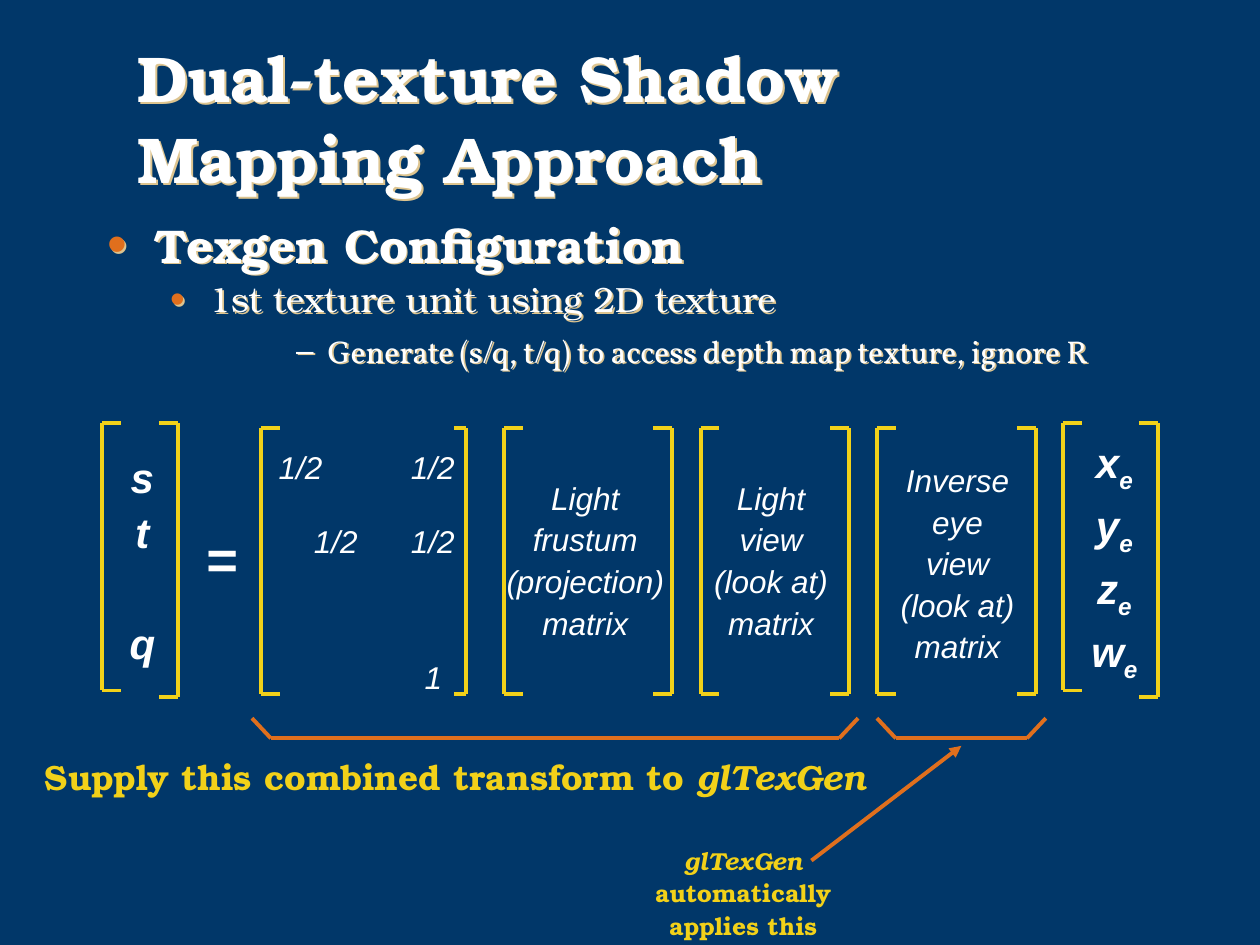
from copy import deepcopy
from lxml import etree
from pptx import Presentation
from pptx.dml.color import RGBColor
from pptx.enum.shapes import MSO_CONNECTOR
from pptx.enum.text import MSO_ANCHOR, MSO_AUTO_SIZE, PP_ALIGN
from pptx.oxml.ns import qn
from pptx.util import Inches, Pt

STRAIGHT = MSO_CONNECTOR.STRAIGHT
TOP, MIDDLE = MSO_ANCHOR.TOP, MSO_ANCHOR.MIDDLE
FIXED, GROW = MSO_AUTO_SIZE.NONE, MSO_AUTO_SIZE.SHAPE_TO_FIT_TEXT
LEFT, CENTER = PP_ALIGN.LEFT, PP_ALIGN.CENTER
NAVY, WHITE, GOLD, RUST, TAN = "013769", "FFFFFF", "F2D119", "E06F1D", "DDC48F"
SERIF, SANS, SLAB = "TeX Gyre Bonum", "Arial", "Vollkorn"

TITLE = "Dual-texture Shadow\nMapping Approach"
LIST = [
    ("Texgen Configuration", dict(level=0, size=27, bold=True, space=0.8, before=6.8,
                                  after=0, hang=(0.38, 0.38), mark=("•", RUST, 120))),
    ("1st texture unit using 2D texture",
     dict(level=1, size=20, space=0.9, hang=(0.81, 0.31), mark=("•", RUST, 120))),
    ("Generate (s/q, t/q) to access depth map texture, ignore R",
     dict(level=3, size=18, name=SLAB, space=0.8, before=4.5, after=0,
          hang=(1.75, 0.25), mark=("–", WHITE, 100))),
]
CELL = dict(size=18, italic=True)
BOLD = dict(size=24, bold=True, italic=True)
NOTE = dict(name=SERIF, color=GOLD, bold=True)
SUB = dict(base=-25)
SLANT = dict(italic=True)
VECTOR = [("x", {}), ("e\n", SUB), ("y", {}), ("e\n", SUB),
          ("z", {}), ("e\n", SUB), ("w", {}), ("e", SUB)]
BOXES = [
    ((2.11, 3.48, 0.55, 0.43), "1/2", CELL),
    ((2.39, 4.06, 0.55, 0.43), "1/2", CELL),
    ((3.16, 3.48, 0.55, 0.43), "1/2", CELL),
    ((3.16, 4.06, 0.55, 0.43), "1/2", CELL),
    ((3.27, 5.14, 0.34, 0.43), "1", CELL),
    ((3.92, 3.72, 1.45, 1.42), "Light\nfrustum\n(projection)\nmatrix", CELL),
    ((5.57, 3.72, 1.1, 1.42), "Light\nview\n(look at)\nmatrix", CELL),
    ((7.05, 3.58, 1.1, 1.75), "Inverse\neye\nview\n(look at)\nmatrix", CELL),
    ((1.53, 4.07, 0.45, 0.67), "=", dict(BOLD, size=31)),
    ((8.56, 3.37, 0.57, 2.1), VECTOR, BOLD),
    ((0.93, 3.49, 0.4, 1.86), "s\nt\n\nq", BOLD),
    ((0.25, 5.92, 6.73, 0.46),
     [("Supply this combined transform to ", {}), ("glTexGen", SLANT)], dict(NOTE, size=20)),
    ((5.1, 6.64, 1.6, 0.87),
     [("glTexGen\n", SLANT), ("automatically\napplies this", {})], dict(NOTE, size=14)),
]
VECTORS = [(0.81, 1.41), (8.44, 9.19)]
MATRICES = [(2.07, 3.7), (4, 5.33), (5.56, 6.74), (6.96, 8.22)]
BRACES = [(2, 6.81), (6.96, 8.3)]
TICK = 0.15


def paint(code):
    return RGBColor.from_string(code)


def node(parent, tag, **attrs):
    return etree.SubElement(parent, qn(tag), attrs)


def write(para, text, size=18, name=SANS, color=WHITE, bold=False, italic=False, base=0,
          align=CENTER, space=1.1, before=6, after=6, level=0, hang=None, mark=None):
    para.alignment, para.level, para.line_spacing = align, level, space
    para.space_before, para.space_after = Pt(before), Pt(after)
    props = para._p.get_or_add_pPr()
    if hang:
        props.set("marL", str(Inches(hang[0])))
        props.set("indent", str(-Inches(hang[1])))
    if mark:
        sign, tint, scale = mark
        node(node(props, "a:buClr"), "a:srgbClr", val=tint)
        node(props, "a:buSzPct", val=str(scale * 1000))
        node(props, "a:buChar", char=sign)
    for part, extra in [(text, {})] if isinstance(text, str) else text:
        look = dict(dict(bold=bold, italic=italic, base=base), **extra)
        for pos, line in enumerate(part.split("\n")):
            if pos:
                para.add_line_break()
                para._p.findall(qn("a:br"))[-1].append(deepcopy(style))
            if line or not pos:
                run = para.add_run()
                run.text = line
                font = run.font
                font.size, font.name, font.color.rgb = Pt(size), name, paint(color)
                font.bold, font.italic = look["bold"], look["italic"]
                style = run._r.get_or_add_rPr()
                if look["base"]:
                    style.set("baseline", str(look["base"] * 1000))


def place(shape, box, anchor, fit, wrap):
    shape.left, shape.top, shape.width, shape.height = map(Inches, box)
    frame = shape.text_frame
    frame.word_wrap, frame.auto_size, frame.vertical_anchor = wrap, fit, anchor
    return frame


def shade(shape):
    glow = node(node(shape._element.spPr, "a:effectLst"), "a:outerShdw",
                dist="17961", dir="2700000", algn="ctr", rotWithShape="0")
    node(glow, "a:srgbClr", val=TAN)


def draw(slide, start, end, color, arrow=False):
    line = slide.shapes.add_connector(STRAIGHT, *map(Inches, (*start, *end)))
    line.line.color.rgb, line.line.width = paint(color), Pt(2.25)
    if arrow:
        node(line.line._get_or_add_ln(), "a:tailEnd", type="triangle")
    node(line._element.spPr, "a:effectLst")


def bracket(slide, x, top, base, tick):
    draw(slide, (x, top), (x, base), GOLD)
    for y in (top, base):
        draw(slide, (x, y), (x + tick, y), GOLD)


def main():
    deck = Presentation()
    deck.slide_width, deck.slide_height = Inches(10), Inches(7.5)
    slide = deck.slides.add_slide(deck.slide_layouts[1])
    slide.background.fill.solid()
    slide.background.fill.fore_color.rgb = paint(NAVY)

    title, body = slide.placeholders
    frame = place(title, (0.99, 0.33, 8.5, 1.17), MIDDLE, FIXED, True)
    write(frame.paragraphs[0], TITLE, size=37, name=SERIF, bold=True, align=LEFT,
          space=1.05, before=0, after=0)
    frame = place(body, (0.75, 1.75, 9, 1.34), TOP, FIXED, True)
    for pos, (text, look) in enumerate(LIST):
        para = frame.add_paragraph() if pos else frame.paragraphs[0]
        write(para, text, **dict(dict(name=SERIF, align=LEFT), **look))
    shade(title)
    shade(body)

    for box, text, look in BOXES:
        shape = slide.shapes.add_textbox(*map(Inches, box))
        write(place(shape, box, MIDDLE, GROW, False).paragraphs[0], text, **look)

    for left, right in MATRICES:
        bracket(slide, left, 3.4, 5.51, TICK)
        bracket(slide, right, 3.4, 5.51, -TICK if right > 4 else -0.1)
    for left, right in VECTORS:
        bracket(slide, left, 3.36, 5.48, TICK)
        bracket(slide, right, 3.36, 5.53, -TICK)
    for left, right in BRACES:
        low = (left + TICK, 5.86), (right - TICK, 5.86)
        draw(slide, *low, RUST)
        for foot, x in zip(low, (left, right)):
            draw(slide, foot, (x, 5.7), RUST)
    draw(slide, (6.44, 6.83), (7.63, 5.92), RUST, arrow=True)
    deck.save("out.pptx")


if __name__ == "__main__":
    main()
